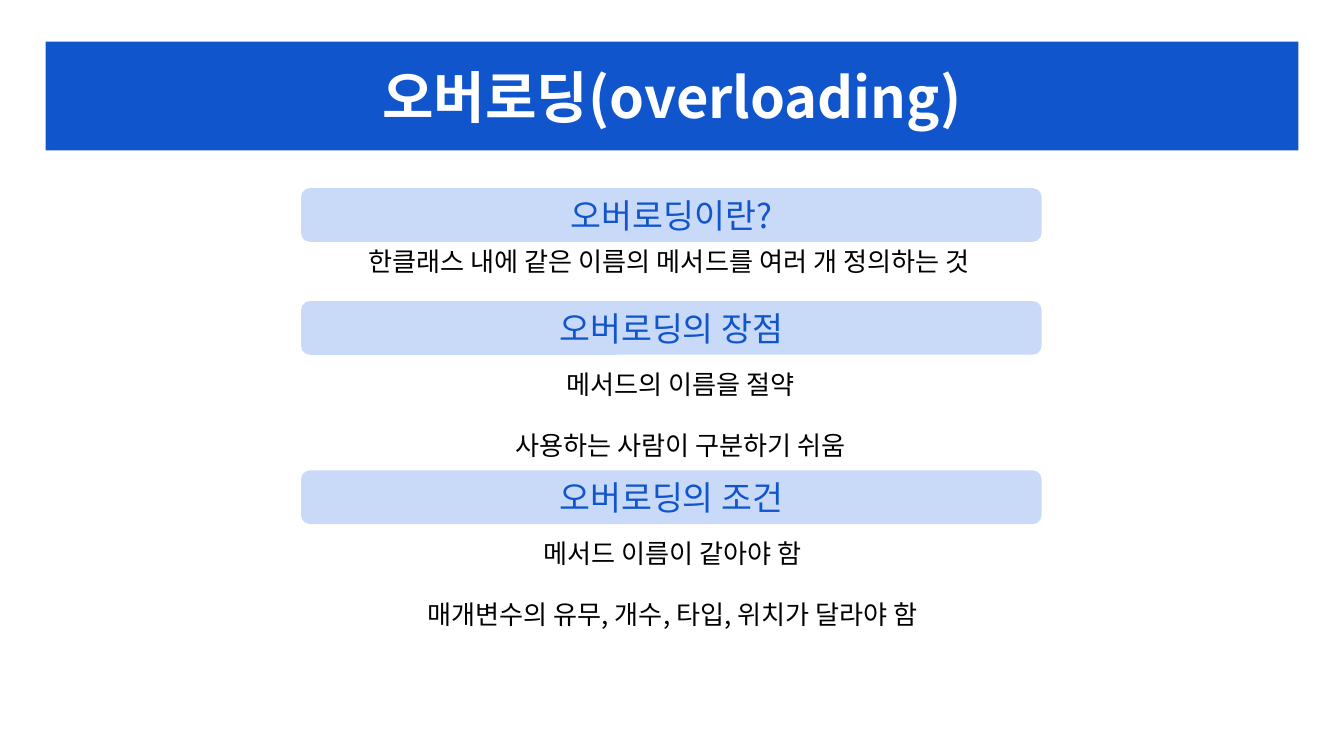
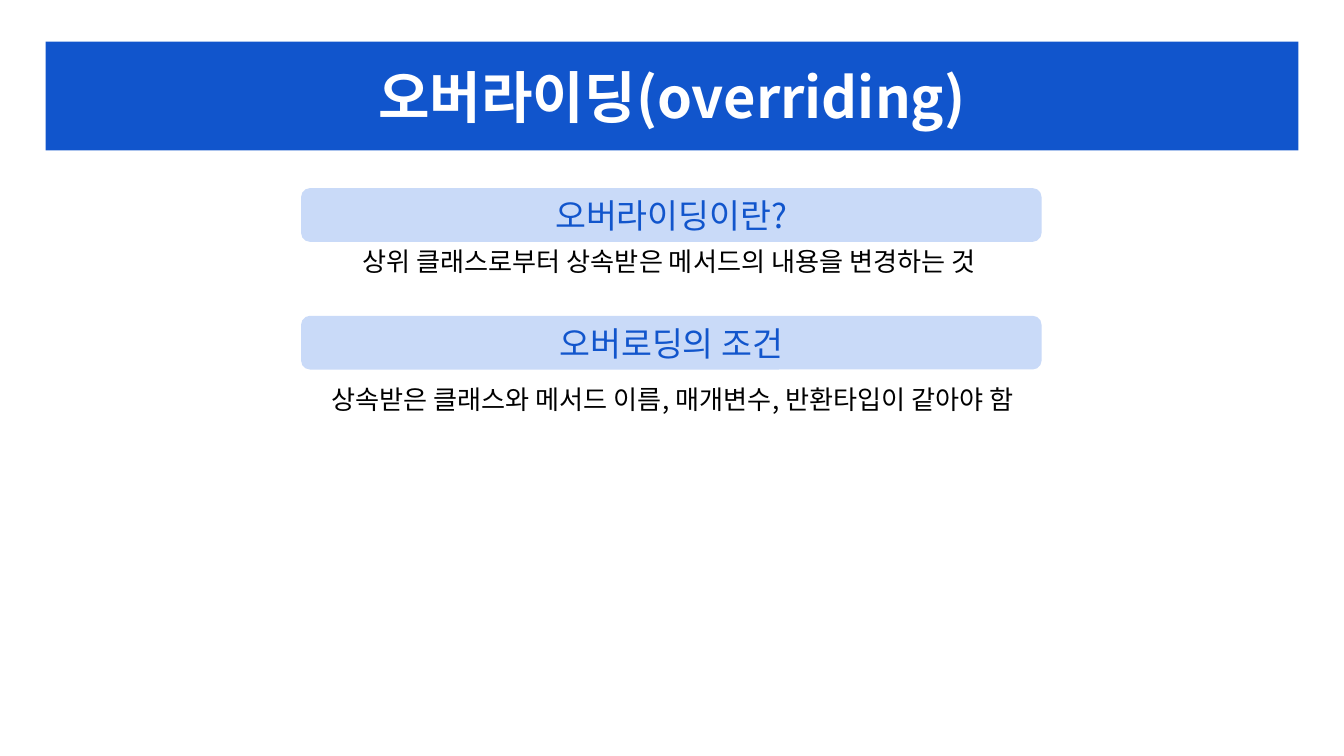
from dataclasses import dataclass

from lxml import etree
from pptx import Presentation
from pptx.dml.color import RGBColor
from pptx.enum.shapes import MSO_SHAPE as Shape
from pptx.enum.text import MSO_ANCHOR as Anchor, MSO_AUTO_SIZE as AutoSize, PP_ALIGN as Align
from pptx.oxml.ns import qn
from pptx.util import Inches, Pt


@dataclass(frozen=True)
class Theme:
    font: str = "Noto Sans CJK KR"
    blue: RGBColor = RGBColor(0x11, 0x55, 0xCC)
    pale_blue: RGBColor = RGBColor(0xC9, 0xDA, 0xF8)
    white: RGBColor = RGBColor(0xFF, 0xFF, 0xFF)
    black: RGBColor = RGBColor(0, 0, 0)
    title_size: Pt = Pt(30)
    heading_size: Pt = Pt(18)
    body_size: Pt = Pt(14)
    line_gap: Pt = Pt(16)


theme = Theme()

# Each section: heading, heading top, text box (left, top, width, height), lines
slides = [
    ("오버로딩(overloading)", [
        ("오버로딩이란?", 1.4, (2.22, 1.78, 5.52, 0.3),
         ["한클래스 내에 같은 이름의 메서드를 여러 개 정의하는 것"]),
        ("오버로딩의 장점", 2.24, (2.16, 2.69, 5.81, 0.71),
         ["메서드의 이름을 절약", "사용하는 사람이 구분하기 쉬움"]),
        ("오버로딩의 조건", 3.5, (2.04, 3.95, 5.93, 0.71),
         ["메서드 이름이 같아야 함", "매개변수의 유무, 개수, 타입, 위치가 달라야 함"]),
    ]),
    ("오버라이딩(overriding)", [
        ("오버라이딩이란?", 1.4, (2.22, 1.78, 5.52, 0.3),
         ["상위 클래스로부터 상속받은 메서드의 내용을 변경하는 것"]),
        ("오버로딩의 조건", 2.35, (2.04, 2.8, 5.93, 0.3),
         ["상속받은 클래스와 메서드 이름, 매개변수, 반환타입이 같아야 함"]),
    ]),
]


def write_lines(shape, lines, size, color, bold=False):
    """Fill a shape with centred paragraphs, using the theme font for Latin and Korean."""
    frame = shape.text_frame
    frame.word_wrap = True
    frame.text = "\n".join(lines)
    for index, paragraph in enumerate(frame.paragraphs):
        paragraph.alignment = Align.CENTER
        paragraph.space_before = theme.line_gap if index else Pt(0)
        font = paragraph.font
        font.name, font.size, font.bold = theme.font, size, bold
        font.color.rgb = color
        properties = paragraph._p.pPr.find(qn("a:defRPr"))
        east_asian = etree.SubElement(properties, qn("a:ea"))
        east_asian.set("typeface", theme.font)
    return frame


presentation = Presentation()
presentation.slide_width = Inches(10)
presentation.slide_height = presentation.slide_width * 9 // 16
title_only = presentation.slide_layouts[5]

for title_text, sections in slides:
    slide = presentation.slides.add_slide(title_only)

    title = slide.shapes.title
    title.left, title.top = Inches(0.34), Inches(0.31)
    title.width, title.height = Inches(9.32), Inches(0.81)
    title.fill.solid()
    title.fill.fore_color.rgb = theme.blue
    frame = write_lines(title, [title_text], theme.title_size, theme.white, bold=True)
    frame.auto_size = AutoSize.NONE
    frame.vertical_anchor = Anchor.MIDDLE
    frame.margin_top = frame.margin_bottom = Inches(0.1)

    for heading, top, box, lines in sections:
        pill = slide.shapes.add_shape(
            Shape.ROUNDED_RECTANGLE, Inches(2.24), Inches(top), Inches(5.51), Inches(0.4))
        pill.shadow.inherit = False
        pill.fill.solid()
        pill.fill.fore_color.rgb = theme.pale_blue
        pill.line.fill.background()
        frame = write_lines(pill, [heading], theme.heading_size, theme.blue)
        frame.vertical_anchor = Anchor.MIDDLE

        text_box = slide.shapes.add_textbox(*map(Inches, box))
        frame = write_lines(text_box, lines, theme.body_size, theme.black)
        frame.auto_size = AutoSize.SHAPE_TO_FIT_TEXT

presentation.save("out.pptx")
